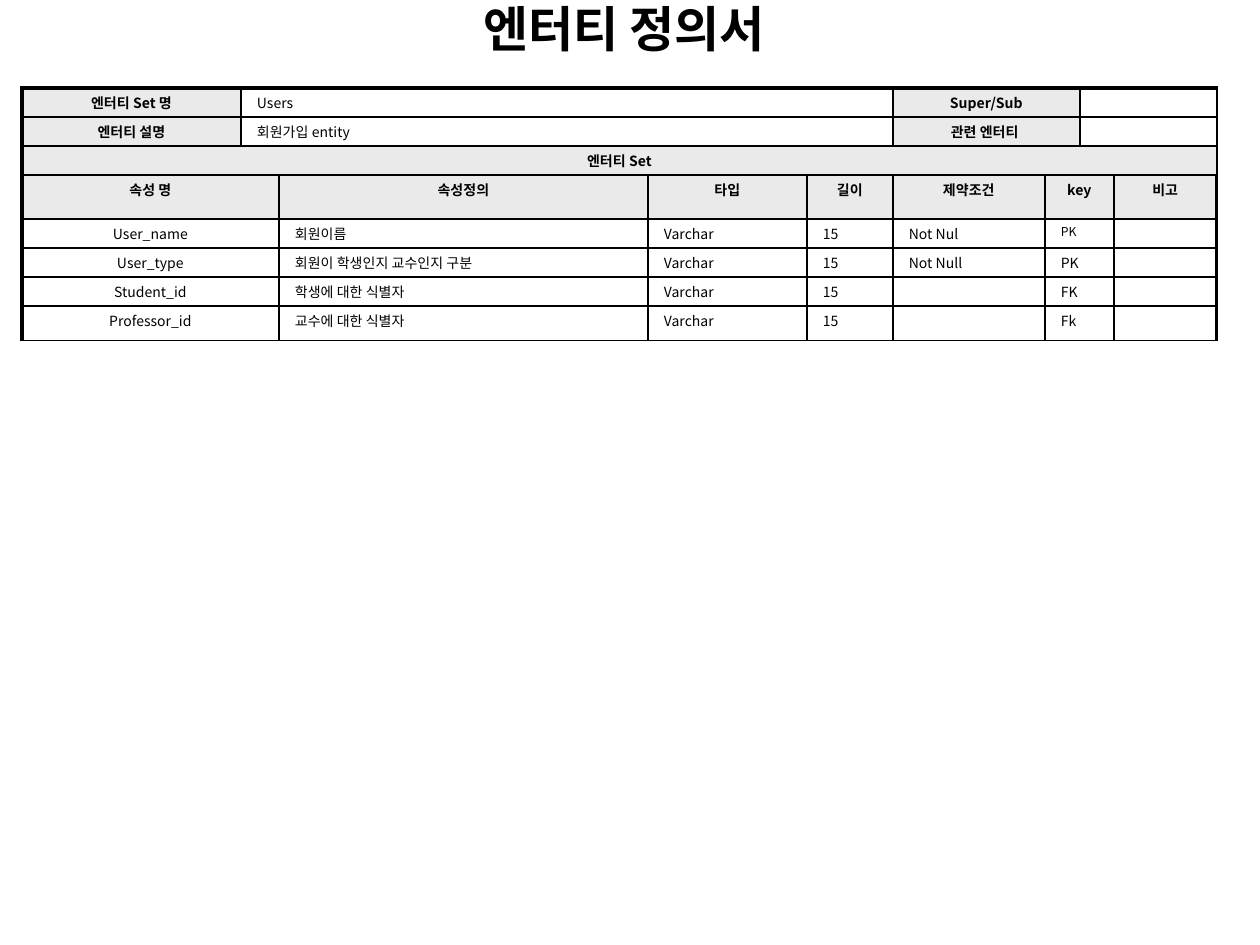
from dataclasses import dataclass
from lxml.etree import SubElement
from pptx import Presentation
from pptx.dml.color import RGBColor
from pptx.enum.text import MSO_ANCHOR, MSO_AUTO_SIZE, PP_ALIGN
from pptx.oxml.ns import qn
from pptx.util import Emu, Pt


@dataclass(frozen=True)
class Theme:
    ink: str = "000000"
    head: str = "EAEAEA"
    title: float = 28
    body: float = 8
    small: float = 7
    thin: float = 1
    thick: float = 2.25
    latin: str = "Arial"
    hangul: str = "Noto Sans CJK KR"


THEME = Theme()
COLS = [219, 38, 369, 159, 86, 152, 35, 34, 103]
ROWS = [29, 29, 29, 44, 29, 29, 29, 35]
INFO = [
    ("엔터티 Set 명", "Users", "Super/Sub"),
    ("엔터티 설명", "회원가입 entity", "관련 엔터티 "),
]
HEADS = ["속성 명", "속성정의", "타입", "길이", "제약조건", "key", "비고"]
FIELDS = [
    ("User_name", "회원이름", "Not Nul", "PK"),
    ("User_type", "회원이 학생인지 교수인지 구분", "Not Null", "PK"),
    ("Student_id", "학생에 대한 식별자", "", "FK"),
    ("Professor_id", "교수에 대한 식별자", "", "Fk"),
]
STARTS = [0, 2, 3, 4, 5, 6, 8]
SPANS = [2, 1, 1, 1, 1, 2, 1]


def px(count):
    return Emu(round(count * 914400 / 126))


def add_run(para, text, size, bold, face):
    run = para.add_run()
    run.text = text
    font = run.font
    font.size, font.bold, font.name = Pt(size), bold, face
    font.color.rgb = RGBColor.from_string(THEME.ink)
    SubElement(font._element, qn("a:ea"), typeface=THEME.hangul)


def add_title(slide, text):
    shape = slide.shapes.title
    shape.left, shape.top = px(0), px(1)
    shape.width, shape.height = px(1260), px(53)
    frame = shape.text_frame
    frame.word_wrap = True
    frame.auto_size = MSO_AUTO_SIZE.NONE
    frame.vertical_anchor = MSO_ANCHOR.MIDDLE
    frame.margin_top = frame.margin_bottom = 0
    para = frame.paragraphs[0]
    para.alignment = PP_ALIGN.CENTER
    add_run(para, text, THEME.title, True, THEME.latin)


def add_edges(cell, row, col):
    outer = {"L": col == 0, "R": col == len(COLS) - 1, "T": row == 0, "B": False}
    props = cell._tc.get_or_add_tcPr()
    for side, thick in outer.items():
        width = THEME.thick if thick else THEME.thin
        line = SubElement(props, qn("a:ln" + side), w=str(Pt(width)))
        fill = SubElement(line, qn("a:solidFill"))
        SubElement(fill, qn("a:srgbClr"), val=THEME.ink)


def add_grid(slide):
    frame = slide.shapes.add_table(
        len(ROWS), len(COLS), px(22), px(88), px(sum(COLS)), px(sum(ROWS)))
    table = frame.table
    table.first_row = table.horz_banding = False
    for col, width in zip(table.columns, COLS):
        col.width = px(width)
    for line, height in zip(table.rows, ROWS):
        line.height = px(height)
    for row in range(len(ROWS)):
        for col in range(len(COLS)):
            cell = table.cell(row, col)
            cell.margin_left = cell.margin_right = px(16)
            cell.margin_top = cell.margin_bottom = px(4)
            add_edges(cell, row, col)
            cell.fill.background()
    return table


def put_cell(table, row, col, span, text, head=False, mid=False, size=THEME.body):
    cell = table.cell(row, col)
    if span > 1:
        cell.merge(table.cell(row, col + span - 1))
    if head:
        cell.fill.solid()
        cell.fill.fore_color.rgb = RGBColor.from_string(THEME.head)
    para = cell.text_frame.paragraphs[0]
    para.alignment = PP_ALIGN.CENTER if head or mid else PP_ALIGN.LEFT
    space = SubElement(para._p.get_or_add_pPr(), qn("a:spcBef"))
    SubElement(space, qn("a:spcPct"), val="20000")
    if text:
        add_run(para, text, size, head, THEME.hangul)
    else:
        SubElement(para._p, qn("a:endParaRPr"), sz=str(size * 100))


def fill_info(table):
    for row, (label, value, other) in enumerate(INFO):
        put_cell(table, row, 0, 1, label, head=True)
        put_cell(table, row, 1, 4, value)
        put_cell(table, row, 5, 2, other, head=True)
        put_cell(table, row, 7, 2, "")
    put_cell(table, 2, 0, len(COLS), "엔터티 Set", head=True)


def fill_fields(table):
    for col, span, text in zip(STARTS, SPANS, HEADS):
        put_cell(table, 3, col, span, text, head=True)
    for row, (name, note, rule, key) in enumerate(FIELDS, 4):
        texts = [name, note, "Varchar", "15", rule, key, ""]
        for col, span, text in zip(STARTS, SPANS, texts):
            small = row == 4 and col == 6
            size = THEME.small if small else THEME.body
            put_cell(table, row, col, span, text, mid=col == 0, size=size)


def main():
    deck = Presentation()
    deck.slide_width, deck.slide_height = px(1260), px(945)
    slide = deck.slides.add_slide(deck.slide_layouts[5])
    add_title(slide, "엔터티 정의서 ")
    table = add_grid(slide)
    fill_info(table)
    fill_fields(table)
    deck.save("out.pptx")


main()
